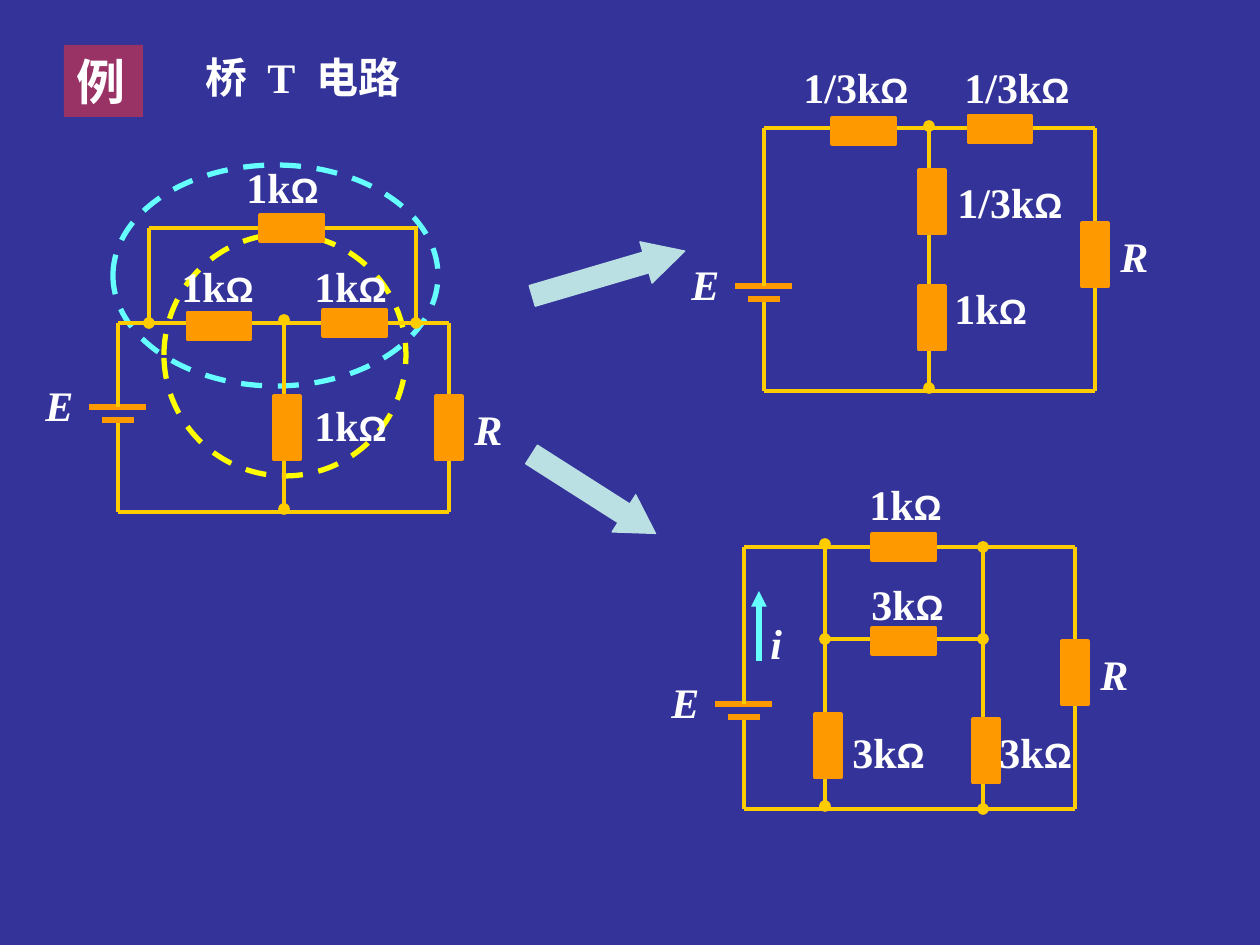
from dataclasses import dataclass

from lxml import etree
from pptx import Presentation
from pptx.dml.color import RGBColor
from pptx.enum.dml import MSO_LINE
from pptx.enum.shapes import MSO_CONNECTOR, MSO_SHAPE
from pptx.enum.text import MSO_ANCHOR, MSO_AUTO_SIZE, PP_ALIGN
from pptx.oxml.ns import qn
from pptx.util import Inches, Pt

RECT, OVAL, ARROW = MSO_SHAPE.RECTANGLE, MSO_SHAPE.OVAL, MSO_SHAPE.RIGHT_ARROW
STRAIGHT, DASH = MSO_CONNECTOR.STRAIGHT, MSO_LINE.DASH
GROW, TOP, LEFT = MSO_AUTO_SIZE.SHAPE_TO_FIT_TEXT, MSO_ANCHOR.TOP, PP_ALIGN.LEFT
EMU_PER_PX = Inches(1) / 126


@dataclass(frozen=True)
class Theme:
    background: str = "333399"
    text: str = "FFFFFF"
    badge: str = "993366"
    wire: str = "FFCC00"
    component: str = "FF9900"
    delta: str = "66FFFF"
    star: str = "FFFF00"
    arrow: str = "BBE0E3"
    serif: str = "Times New Roman"
    sans: str = "Arial"
    body: int = 24
    ohm: int = 20
    heading: int = 28
    thin: float = 0.75
    normal: float = 2.25
    thick: float = 3


def px(*lengths):
    """Turn pixel lengths into EMU."""
    return [round(n * EMU_PER_PX) for n in lengths]


class CircuitSlide:
    """Draw circuit elements on one slide in one style."""

    def __init__(self, slide, theme):
        self.s, self.t = slide, theme
        fill = slide.background.fill
        fill.solid()
        fill.fore_color.rgb = RGBColor.from_string(theme.background)

    def stroke(self, line, color, width):
        line.color.rgb = RGBColor.from_string(color)
        line.width = Pt(width)

    def shape(self, kind, box, fill=None, line=None, width=0):
        sp = self.s.shapes.add_shape(kind, *px(*box))
        sp.shadow.inherit = False
        if fill:
            sp.fill.solid()
            sp.fill.fore_color.rgb = RGBColor.from_string(fill)
        else:
            sp.fill.background()
        if line:
            self.stroke(sp.line, line, width)
        else:
            sp.line.fill.background()
        return sp

    def wire(self, x1, y1, x2, y2, color=None, width=None, head=None, tail=None):
        cx = self.s.shapes.add_connector(STRAIGHT, *px(x1, y1, x2, y2))
        self.stroke(cx.line, color or self.t.wire, width or self.t.normal)
        ln = cx.line._get_or_add_ln()
        for tag, end in (("a:headEnd", head), ("a:tailEnd", tail)):
            if end:
                etree.SubElement(ln, qn(tag), type=end)
        etree.SubElement(cx._element.spPr, qn("a:effectLst"))

    def resistor(self, cx, cy, upright=True):
        w, h = (26, 63) if upright else (63, 26)
        box = (cx - w / 2, cy - h / 2, w, h)
        self.shape(RECT, box, self.t.component, self.t.component, self.t.normal)

    def dashed_ring(self, box, color):
        self.shape(OVAL, box, line=color, width=self.t.thick).line.dash_style = DASH

    def block_arrow(self, box, angle, head):
        sp = self.shape(ARROW, box, self.t.arrow, self.t.arrow, self.t.thin)
        sp.adjustments[1] = head
        sp.rotation = angle

    def format_run(self, r, size, italic=False):
        ohm = r.text == "Ω"
        r.font.name = self.t.sans if ohm else self.t.serif
        r.font.size = Pt(self.t.ohm if ohm else size)
        r.font.bold, r.font.italic = True, italic
        r.font.color.rgb = RGBColor.from_string(self.t.text)

    def label(self, x, y, w, pieces, italic=False):
        tf = self.s.shapes.add_textbox(*px(x, y, w, 63)).text_frame
        tf.word_wrap, tf.auto_size = True, GROW
        for piece in pieces:
            r = tf.paragraphs[0].add_run()
            r.text = piece
            self.format_run(r, self.t.body, italic)
            if piece == " ":
                r.font._element.set("spc", "600")

    def ohms(self, x, y, w, value):
        self.label(x, y, w, (value, "Ω"))

    def badge(self, box, text):
        sp = self.shape(RECT, box, self.t.badge)
        tf = sp.text_frame
        tf.text = text
        tf.vertical_anchor = TOP
        p = tf.paragraphs[0]
        p.alignment = LEFT
        self.format_run(p.runs[0], self.t.heading)

    def loop(self, left, top, bottom, cell_y, load_y):
        right = left + 331
        for start, end, y in ((-29, 28, cell_y), (-16, 16, cell_y + 13)):
            self.wire(left + start, y, left + end, y, self.t.component, self.t.thick)
        self.wire(left, cell_y + 16, left, bottom)
        self.wire(left, cell_y, left, top)
        self.wire(left, top, right, top)
        self.wire(left, bottom, right, bottom)
        self.wire(right, top, right, bottom)
        self.resistor(right, load_y)
        self.label(left - 85, cell_y - 34, 54, "E", italic=True)
        self.label(right + 13, load_y - 31, 44, "R", italic=True)

    def star_result(self):
        self.loop(764, 128, 391, 286, 255)
        self.wire(929, 126, 929, 388, head="oval", tail="oval")
        for y in (202, 318):
            self.resistor(932, y)
        self.resistor(1000, 129, upright=False)
        self.resistor(864, 131, upright=False)
        for x, y in ((791, 55), (952, 55), (945, 170)):
            self.ohms(x, y, 142, "1/3k")
        self.ohms(942, 276, 110, "1k")

    def bridge(self):
        self.loop(118, 323, 512, 407, 428)
        self.wire(284, 320, 284, 509, head="oval", tail="oval")
        self.wire(149, 323, 149, 228, head="oval")
        self.wire(149, 228, 418, 228)
        self.wire(416, 323, 416, 228, head="oval")
        self.resistor(287, 428)
        for x, y in ((355, 323), (219, 326), (292, 228)):
            self.resistor(x, y, upright=False)
        for x, y in ((234, 155), (169, 254), (302, 254), (302, 393)):
            self.ohms(x, y, 126, "1k")

    def delta_result(self):
        self.loop(744, 547, 809, 704, 673)
        for ends in ((825, 544, 825, 806), (983, 547, 983, 809), (825, 639, 983, 639)):
            self.wire(*ends, head="oval", tail="oval")
        for y in (547, 641):
            self.resistor(904, y, upright=False)
        self.resistor(828, 746)
        self.resistor(986, 751)
        self.ohms(857, 472, 105, "1k")
        for x, y in ((859, 572), (840, 720), (987, 720)):
            self.ohms(x, y, 121, "3k")
        self.wire(759, 661, 759, 591, self.t.delta, self.t.thick, tail="triangle")
        self.label(758, 611, 59, "i", italic=True)


def main():
    prs = Presentation()
    prs.slide_width, prs.slide_height = px(1260, 945)
    theme = Theme()
    s = CircuitSlide(prs.slides.add_slide(prs.slide_layouts[6]), theme)
    s.label(193, 45, 239, ("桥", " ", "T", " ", "电路"))
    s.star_result()
    s.block_arrow((529, 252, 159, 43), -16.4, 0.94)
    s.dashed_ring((113, 165, 325, 221), theme.delta)
    s.dashed_ring((164, 234, 242, 242), theme.star)
    s.badge((64, 45, 79, 72), "例")
    s.block_arrow((520, 472, 147, 44), 32.5, 0.85)
    s.bridge()
    s.delta_result()
    prs.save("out.pptx")


if __name__ == "__main__":
    main()
